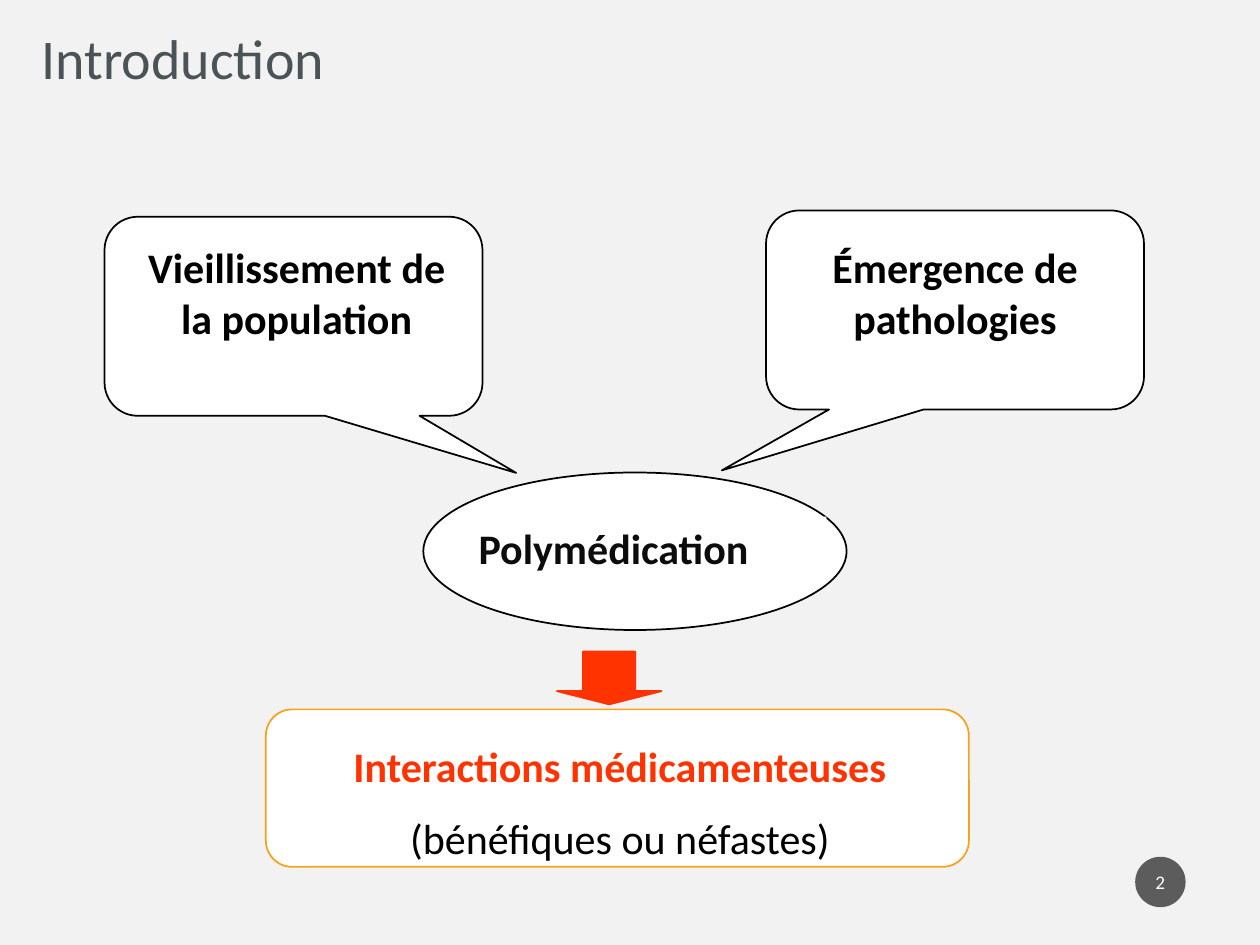
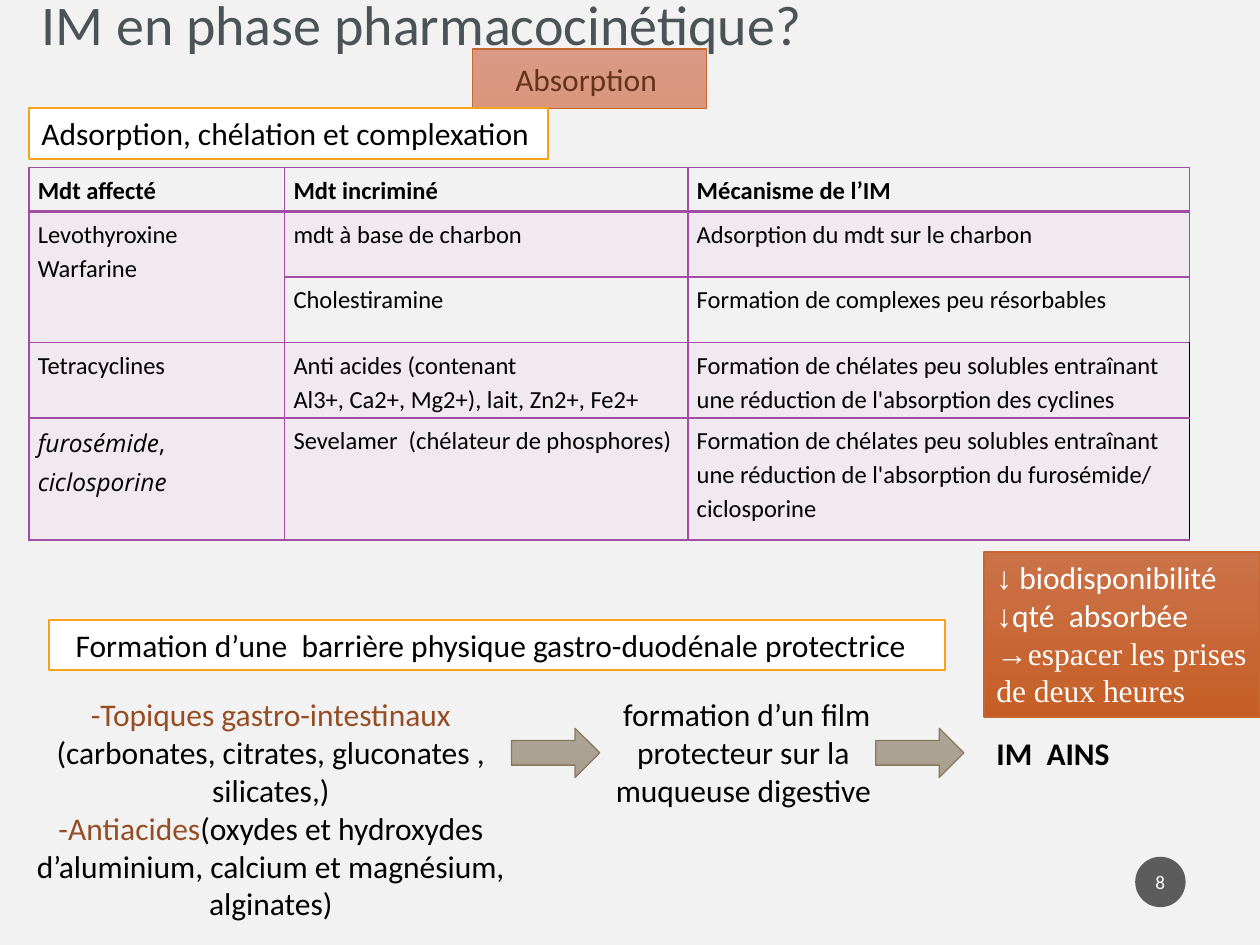
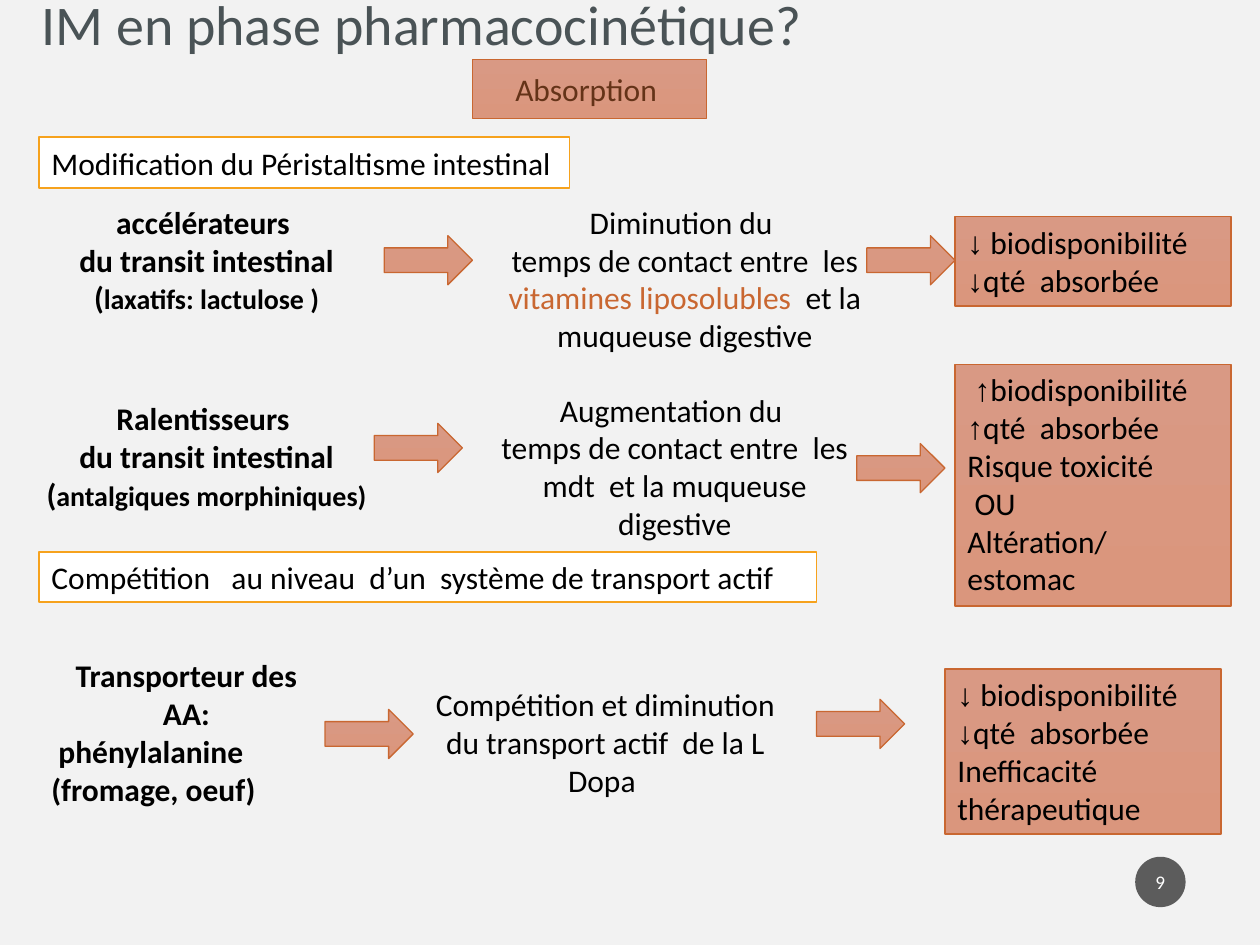
from itertools import groupby

from lxml import etree
from pptx import Presentation
from pptx.dml.color import RGBColor
from pptx.enum import shapes, text
from pptx.oxml.ns import qn
from pptx.util import Inches, Pt

PAPER = RGBColor(0xF2, 0xF2, 0xF2)
WHITE = RGBColor(0xFF, 0xFF, 0xFF)
BLACK = RGBColor(0, 0, 0)
INK = RGBColor(0x0C, 0x0C, 0x0C)
SLATE = RGBColor(0x4A, 0x53, 0x56)
BADGE = RGBColor(0x1D, 0x1D, 0x1D)
GOLD = RGBColor(0xF6, 0xA2, 0x1D)
RED = RGBColor(0xFF, 0x33, 0x00)
RUST = RGBColor(0xC9, 0x67, 0x31)
BROWN = RGBColor(0x96, 0x4D, 0x24)
DARK = RGBColor(0x64, 0x33, 0x18)
MAUVE = RGBColor(0xF0, 0xE9, 0xF0)
PURPLE = RGBColor(0xA0, 0x4D, 0xA3)
# Pairs of gradient colours, from top to bottom, then the outline
SALMON = (RGBColor(0xD9, 0x99, 0x84), RGBColor(0xDA, 0x96, 0x7D), RUST)
TAUPE = (RGBColor(0xAC, 0xA3, 0x95), RGBColor(0xA9, 0xA0, 0x8F),
         RGBColor(0x87, 0x79, 0x5D))
ORANGE = (RGBColor(0xCB, 0x72, 0x49), RGBColor(0xC6, 0x5F, 0x26), RUST)

SANS, SERIF, SLANT = "Calibri", "Times New Roman", "Open Sans"
KIND = shapes.MSO_SHAPE
MID = text.PP_ALIGN.CENTER
LEFT = text.PP_ALIGN.LEFT
BOLD = {"bold": True}
SMALL = {"bold": True, "size": 16}

# A paragraph is a string or a list of runs; a run is a string or (words, style).
PHASE = "IM en phase pharmacocinétique?"
LESS = ["↓ biodisponibilité", "↓qté  absorbée"]

CALLS = [
    ((6.08, 1.67), (-0.617, 0.806, 0.167), (6.29, 1.87, 2.58, 0.91),
     "Émergence de pathologies"),
    ((0.83, 1.72), (0.589, 0.787, 0.167), (1.02, 1.87, 2.67, 0.9),
     "Vieillissement de la population"),
]
RESULT = [
    [("Interactions médicamenteuses", {"bold": True, "color": RED})],
    "(bénéfiques ou néfastes)",
]

COLS = [2.03, 3.2, 3.98]
ROWS = [0.35, 0.52, 0.52, 0.54, 0.97]
DRUGS = [
    [[[("Mdt affecté", BOLD)]], [[("Mdt incriminé", BOLD)]],
     [[("Mécanisme de l’IM", BOLD)]]],
    [["Levothyroxine", "Warfarine"], ["mdt à base de charbon"],
     ["Adsorption du mdt sur le charbon"]],
    [[], ["Cholestiramine"], ["Formation de complexes peu résorbables"]],
    [["Tetracyclines"],
     ["Anti acides (contenant", "Al3+, Ca2+, Mg2+), lait, Zn2+, Fe2+"],
     ["Formation de chélates peu solubles entraînant une réduction de "
      "l'absorption des cyclines"]],
    [[[("furosémide", {"font": SLANT, "italic": True}), (", ", {"font": SLANT}),
       ("ciclosporine", {"font": SLANT, "italic": True})]],
     ["Sevelamer  (chélateur de phosphores)"],
     ["Formation de chélates peu solubles entraînant une réduction de "
      "l'absorption du furosémide/ ciclosporine"]],
]
TOPICS = [
    [("-Topiques gastro-intestinaux ", {"color": BROWN}),
     "(carbonates, citrates, gluconates , silicates,)"],
    [("-Antiacides", {"color": BROWN}),
     "(oxydes et hydroxydes d’aluminium, calcium et magnésium, alginates)"],
]
SPACING = LESS + [[("→espacer les prises de deux heures", {"font": SERIF})]]

HEADS = [
    ((0.31, 1.09, 4.21, 0.4), "Modification du Péristaltisme intestinal"),
    ((0.31, 4.38, 6.17, 0.4),
     "Compétition   au niveau  d’un  système de transport actif"),
]
CAUSES = [
    ((0, 1.56, 3.28, 1.01), MID,
     ["accélérateurs ", "du transit intestinal",
      ["(", ("laxatifs: lactulose )", SMALL)]]),
    ((0, 3.12, 3.28, 1.01), MID,
     ["Ralentisseurs ", "du transit intestinal",
      ["(", ("antalgiques morphiniques)", SMALL)]]),
    ((0.31, 5.16, 2.34, 1.31), (MID, MID, LEFT, LEFT),
     ["Transporteur des", " AA: ", " phénylalanine", "(fromage, oeuf)"]),
]
MEANS = [
    ((3.91, 1.56, 3.05, 1.31),
     ["Diminution du ",
      ["temps de contact entre  les ",
       ("vitamines liposolubles  ", {"color": RUST}),
       "et la muqueuse digestive"]]),
    ((3.83, 3.05, 3.05, 1.31),
     ["Augmentation du ",
      "temps de contact entre  les mdt  et la muqueuse digestive"]),
    ((3.28, 5.39, 3.05, 1.01),
     ["Compétition et diminution du transport actif  de la L Dopa "]),
]
EFFECTS = [
    ((7.58, 1.72, 2.19, 0.71), LESS),
    ((7.58, 2.89, 2.19, 1.92),
     [" ↑biodisponibilité ↑qté  absorbée", "Risque toxicité", " OU",
      "Altération/ estomac"]),
    ((7.5, 5.31, 2.19, 1.31), LESS + ["Inefficacité thérapeutique"]),
]
STEPS = [(3.05, 1.87), (6.88, 1.87), (2.97, 3.36), (6.8, 3.52),
         (2.58, 5.63), (6.48, 5.55)]


def put(frame, paras, align=LEFT, size=18, color=BLACK, bold=False):
    """Write paragraphs; vertical arrows are set in the serif font."""
    frame.word_wrap = True
    for i, runs in enumerate(paras):
        para = frame.paragraphs[0] if i == 0 else frame.add_paragraph()
        para.alignment = align[i] if isinstance(align, tuple) else align
        for run in [runs] if isinstance(runs, str) else runs:
            words, style = (run, {}) if isinstance(run, str) else run
            for arrow, part in groupby(words, lambda c: c in "↑↓"):
                piece = para.add_run()
                piece.text = "".join(part)
                font = piece.font
                font.name = SERIF if arrow else style.get("font", SANS)
                font.size = Pt(style.get("size", size))
                font.bold = style.get("bold", bold)
                font.italic = style.get("italic", False)
                font.color.rgb = style.get("color", color)


def note(slide, at, paras, align=MID, **style):
    box = slide.shapes.add_textbox(*map(Inches, at))
    put(box.text_frame, paras, align, **style)
    return box


def draw(slide, kind, at, fill, line=None, adj=()):
    """Add a preset shape; a tuple as fill is a gradient with its outline."""
    shape = slide.shapes.add_shape(kind, *map(Inches, at))
    shape.shadow.inherit = False
    shape.text_frame.vertical_anchor = text.MSO_ANCHOR.TOP
    for i, value in enumerate(adj):
        shape.adjustments[i] = value
    width = 1
    if isinstance(fill, tuple) and not isinstance(fill, RGBColor):
        top, low, line = fill
        width = 0.75
        shape.fill.gradient()
        shape.fill.gradient_angle = 270
        for stop, color in zip(shape.fill.gradient_stops, (top, low)):
            stop.color.rgb = color
    else:
        shape.fill.solid()
        shape.fill.fore_color.rgb = fill
    if line is None:
        shape.line.fill.background()
    else:
        shape.line.color.rgb = line
        shape.line.width = Pt(width)
    return shape


def head(slide, at, words):
    box = draw(slide, KIND.RECTANGLE, at, WHITE, GOLD)
    put(box.text_frame, [words])
    return box


def step(slide, spot, fill):
    draw(slide, KIND.RIGHT_ARROW, (*spot, 0.7, 0.39), fill)


def panel(slide, at, paras, fill, color=BLACK):
    box = draw(slide, KIND.RECTANGLE, at, fill)
    put(box.text_frame, paras, color=color)


def stage(slide, top):
    box = draw(slide, KIND.RECTANGLE, (3.75, top, 1.86, 0.47), SALMON)
    box.text_frame.vertical_anchor = text.MSO_ANCHOR.MIDDLE
    put(box.text_frame, ["Absorption "], MID, color=DARK)


def start(prs, title, top, number):
    """Add a slide with its title and page badge."""
    slide = prs.slides.add_slide(prs.slide_layouts[5])
    name = slide.shapes.title
    name.left, name.top, name.width, name.height = map(Inches, (0.23, top, 9, 1))
    frame = name.text_frame
    frame.auto_size = text.MSO_AUTO_SIZE.NONE
    frame.vertical_anchor = text.MSO_ANCHOR.BOTTOM
    put(frame, [title], size=32, color=SLATE)
    badge = draw(slide, KIND.OVAL, (9.01, 6.8, 0.4, 0.4), BADGE)
    tint = badge.fill._xPr.find(".//" + qn("a:srgbClr"))
    etree.SubElement(tint, qn("a:alpha"), val="70000")
    frame = badge.text_frame
    frame.margin_left = frame.margin_right = Inches(0.02)
    frame.vertical_anchor = text.MSO_ANCHOR.MIDDLE
    put(frame, [str(number)], MID, size=11, color=WHITE)
    return slide


def edge(cell, side, color, width):
    props = cell._tc.get_or_add_tcPr()
    line = etree.SubElement(props, qn("a:ln" + side), w=str(Pt(width)))
    fill = etree.SubElement(line, qn("a:solidFill"))
    etree.SubElement(fill, qn("a:srgbClr"), val=str(color))


def grid(slide):
    table = slide.shapes.add_table(
        len(ROWS), len(COLS), Inches(0.23), Inches(1.33),
        Inches(sum(COLS)), Inches(sum(ROWS))).table
    table.first_row = table.horz_banding = False
    for col, width in zip(table.columns, COLS):
        col.width = Inches(width)
    for r, (row, high) in enumerate(zip(DRUGS, ROWS)):
        table.rows[r].height = Inches(high)
        for c, paras in enumerate(row):
            cell = table.cell(r, c)
            cell.margin_left = cell.margin_right = Inches(0.07)
            cell.margin_top = cell.margin_bottom = Inches(0.03)
            put(cell.text_frame, paras, size=14)
            for para in cell.text_frame.paragraphs:
                para.line_spacing = 1.15
            edge(cell, "L", PURPLE, 1)
            edge(cell, "R", BLACK if c == 2 and r > 2 else PURPLE, 1)
            edge(cell, "T", PURPLE, 2.25 if r == 1 else 1)
            edge(cell, "B", PURPLE, 2.25 if r == 0 else 1)
            if r in (0, 2):
                cell.fill.background()
            else:
                cell.fill.solid()
                cell.fill.fore_color.rgb = MAUVE
    table.cell(1, 0).merge(table.cell(2, 0))


def intro(prs):
    slide = start(prs, "Introduction", -0.23, 2)
    draw(slide, KIND.OVAL, (3.36, 3.75, 3.36, 1.25), WHITE, BLACK)
    draw(slide, KIND.ROUNDED_RECTANGLE, (2.11, 5.63, 5.58, 1.25), WHITE, GOLD,
         [0.167])
    draw(slide, KIND.DOWN_ARROW, (4.42, 5.17, 0.83, 0.42), RED, RED, [0.5, 0.25])
    for spot, adj, at, words in CALLS:
        draw(slide, KIND.ROUNDED_RECTANGULAR_CALLOUT, (*spot, 3, 1.58), WHITE,
             BLACK, adj)
        note(slide, at, [words], size=24, bold=True)
    label = draw(slide, KIND.RECTANGLE, (3.7, 4.1, 2.86, 0.5), WHITE)
    put(label.text_frame, ["Polymédication"], size=24, color=INK, bold=True)
    box = note(slide, (2.42, 5.83, 5, 1.1), RESULT, size=24)
    box.text_frame.paragraphs[1].space_before = Pt(12)


def binding(prs):
    slide = start(prs, PHASE, -0.5, 8)
    stage(slide, 0.39)
    head(slide, (0.23, 0.86, 4.12, 0.4), "Adsorption, chélation et complexation")
    barrier = head(slide, (0.39, 4.92, 7.11, 0.4),
                   "Formation d’une  barrière physique gastro-duodénale protectrice")
    barrier.text_frame.margin_left = Inches(0.21)
    note(slide, (7.81, 5.78, 1.34, 0.4), ["IM  AINS"], LEFT, bold=True)
    for left in (4.06, 6.95):
        step(slide, (left, 5.78), TAUPE)
    note(slide, (4.61, 5.47, 2.58, 1.01),
         [" formation d’un film protecteur sur la muqueuse digestive"])
    note(slide, (0, 5.47, 4.3, 1.92), TOPICS)
    grid(slide)
    panel(slide, (7.81, 4.38, 2.19, 1.31), SPACING, ORANGE, WHITE)


def transit(prs):
    slide = start(prs, PHASE, -0.5, 9)
    stage(slide, 0.47)
    for at, words in HEADS:
        head(slide, at, words)
    for at, align, paras in CAUSES:
        note(slide, at, paras, align, bold=True)
    for at, paras in MEANS:
        note(slide, at, paras)
    for spot in STEPS:
        step(slide, spot, SALMON)
    for at, paras in EFFECTS:
        panel(slide, at, paras, SALMON)


def main():
    prs = Presentation()
    prs.slide_width, prs.slide_height = Inches(10), Inches(7.5)
    back = prs.slide_master.background.fill
    back.solid()
    back.fore_color.rgb = PAPER
    intro(prs)
    binding(prs)
    transit(prs)
    prs.save("out.pptx")


if __name__ == "__main__":
    main()
